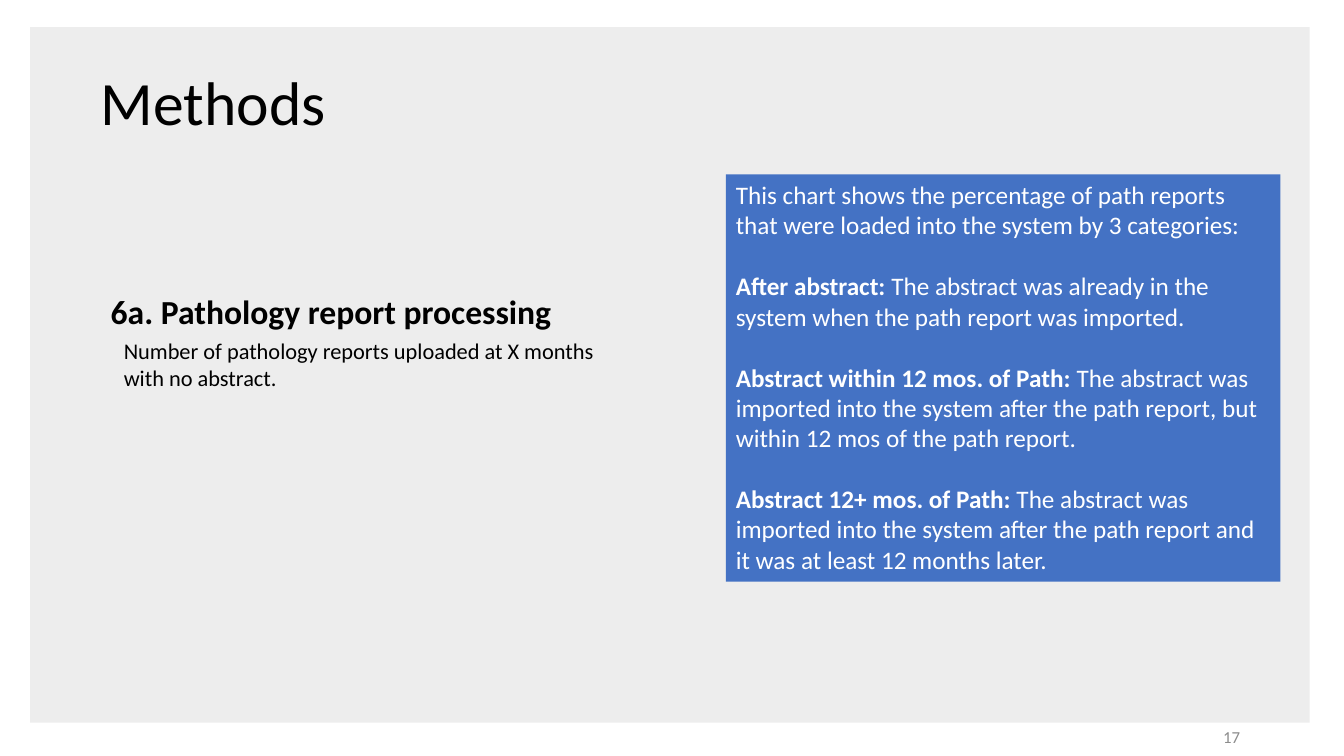
from pptx import Presentation
from pptx.dml.color import RGBColor
from pptx.enum.shapes import MSO_SHAPE
from pptx.enum.text import MSO_ANCHOR, MSO_AUTO_SIZE, PP_ALIGN
from pptx.util import Inches, Pt

COLORS = {
    "panel": "EDEDED",
    "box": "4472C4",
    "text": "000000",
    "light": "FFFFFF",
    "muted": "8C8C8C",
}
FONT = "Calibri"

DEFINITIONS = [
    [("This chart shows the percentage of path reports that were loaded "
      "into the system by 3 categories:", False)],
    [("After abstract: ", True),
     ("The abstract was already in the system when the path report was "
      "imported.", False)],
    [("Abstract within 12 mos. of Path: ", True),
     ("The abstract was imported into the system after the path report, but "
      "within 12 mos of the path report.", False)],
    [("Abstract 12+ mos. of Path: ", True),
     ("The abstract was imported into the system after the path report and "
      "it was at least 12 months later.", False)],
]


def place(sp, left, top, width, height):
    """Move and size a shape, in inches."""
    box = {"left": left, "top": top, "width": width, "height": height}
    for name, value in box.items():
        setattr(sp, name, Inches(value))


def fill_text(sp, paragraphs, size, color, anchor=MSO_ANCHOR.TOP, **para_format):
    """Write paragraphs of (text, bold) runs into a shape."""
    tf = sp.text_frame
    frame_format = {"word_wrap": True, "auto_size": MSO_AUTO_SIZE.NONE,
                    "vertical_anchor": anchor}
    for name, value in frame_format.items():
        setattr(tf, name, value)
    for i, runs in enumerate(paragraphs):
        p = tf.paragraphs[0] if i == 0 else tf.add_paragraph()
        gap = para_format.get("space_before", Pt(0)) if i else Pt(0)
        for name, value in {"alignment": PP_ALIGN.LEFT, **para_format,
                            "space_before": gap}.items():
            setattr(p, name, value)
        for text, bold in runs:
            r = p.add_run()
            r.text = text
            for name, value in {"name": FONT, "size": Pt(size), "bold": bold}.items():
                setattr(r.font, name, value)
            r.font.color.rgb = RGBColor.from_string(COLORS[color])


def add_rect(slide, at, color):
    """Add a flat rectangle without an outline."""
    sp = slide.shapes.add_shape(MSO_SHAPE.RECTANGLE, *map(Inches, at))
    sp.shadow.inherit = False
    sp.fill.solid()
    sp.fill.fore_color.rgb = RGBColor.from_string(COLORS[color])
    sp.line.fill.background()
    return sp


def add_text(slide, at, text, size, color="text", bold=False, **options):
    """Add a text box holding one paragraph."""
    sp = slide.shapes.add_textbox(*map(Inches, at))
    fill_text(sp, [[(text, bold)]], size, color, **options)


def main():
    """Build the slide and save it."""
    prs = Presentation()
    prs.slide_width, prs.slide_height = Inches(13.33), Inches(7.5)
    slide = prs.slides.add_slide(prs.slide_layouts[5])

    title = slide.shapes.title
    panel = add_rect(slide, (0.3, 0.27, 12.69, 6.9), "panel")
    title.element.addprevious(panel.element)
    place(title, 0.9, 0.32, 11.5, 1.45)
    fill_text(title, [[("Methods", False)]], 44, "text",
              anchor=MSO_ANCHOR.MIDDLE, line_spacing=0.9)

    add_text(slide, (1, 2.84, 5.13, 0.91), "6a. Pathology report processing",
             24, bold=True)
    add_text(slide, (1.13, 3.3, 4.86, 0.64),
             "Number of pathology reports uploaded at X months with no abstract.", 16)

    box = add_rect(slide, (7.2, 1.73, 5.5, 4.04), "box")
    fill_text(box, DEFINITIONS, 18, "light", space_before=Pt(22))

    add_text(slide, (9.4, 7.11, 3, 0.4), "17", 12, "muted",
             anchor=MSO_ANCHOR.MIDDLE, alignment=PP_ALIGN.RIGHT)
    prs.save("out.pptx")


main()
